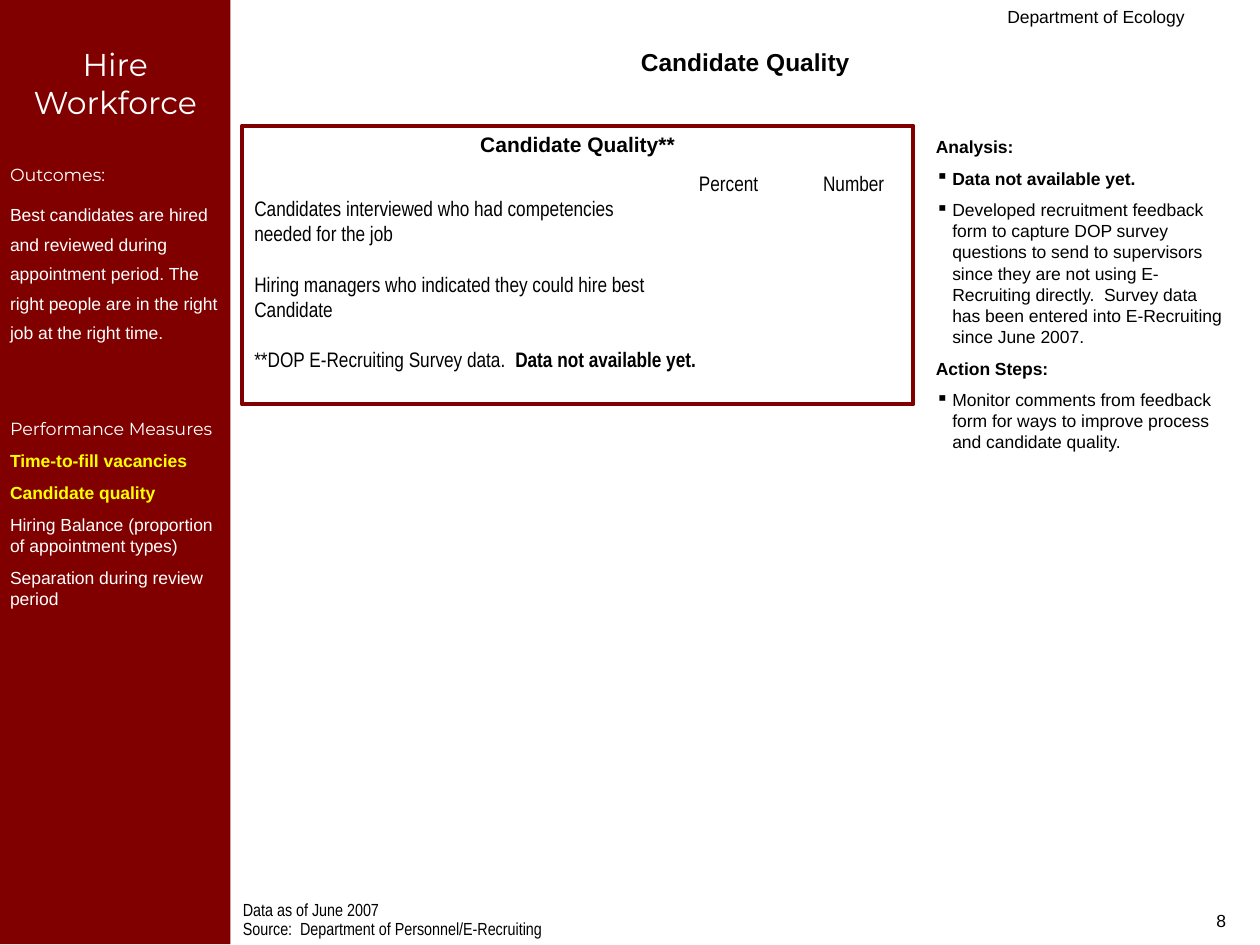
from lxml.etree import SubElement
from pptx import Presentation
from pptx.dml.color import RGBColor
from pptx.enum.shapes import MSO_SHAPE
from pptx.enum.text import MSO_ANCHOR, MSO_AUTO_SIZE, PP_ALIGN
from pptx.oxml.ns import qn
from pptx.util import Emu, Inches, Pt

WIDTH, HEIGHT = Inches(10), Inches(7.5)
MAROON, WHITE, BLACK, YELLOW = "800000", "FFFFFF", "000000", "FFFF00"
SANS, NARROW, DISPLAY = "Arial", "Arial Narrow", "Montserrat"


def rgb(value):
    return RGBColor.from_string(value)


def box(left, top, width, height):
    return (Emu(int(WIDTH * left)), Emu(int(HEIGHT * top)),
            Emu(int(WIDTH * width)), Emu(int(HEIGHT * height)))


def set_frame(sp, side=0.1, top=0.05):
    tf = sp.text_frame
    tf.word_wrap = True
    tf.auto_size = MSO_AUTO_SIZE.NONE
    tf.vertical_anchor = MSO_ANCHOR.TOP
    tf.margin_left = tf.margin_right = Inches(side)
    tf.margin_top, tf.margin_bottom = Inches(top), Inches(0.05)
    return tf


def add_text_box(slide, area):
    return set_frame(slide.shapes.add_textbox(*area))


def add_rect(slide, area):
    sp = slide.shapes.add_shape(MSO_SHAPE.RECTANGLE, *area)
    sp.shadow.inherit = False
    return sp


def add_paragraph(tf, before=0, align=PP_ALIGN.LEFT, spacing=None):
    first = tf.paragraphs[0]
    p = tf.add_paragraph() if first.runs else first
    p.alignment = align
    p.space_before = Pt(before if p is not first and first.runs else 0)
    if spacing:
        p.line_spacing = spacing
    return p


def add_run(p, text, size=10, font=SANS, color=BLACK, bold=False):
    r = p.add_run()
    r.text = text
    r.font.size = Pt(size)
    r.font.name = font
    r.font.bold = bold
    r.font.color.rgb = rgb(color)


def add_bullet(p, indent=0.13):
    pPr = p._p.get_or_add_pPr()
    pPr.set("marL", str(Inches(indent)))
    pPr.set("indent", str(-Inches(indent)))
    SubElement(pPr, qn("a:buChar"), char="▪")


def add_right_tabs(p, *stops):
    tabs = SubElement(p._p.get_or_add_pPr(), qn("a:tabLst"))
    for stop in stops:
        SubElement(tabs, qn("a:tab"), pos=str(Inches(stop)), algn="r")


def add_title(slide, area):
    sp = slide.shapes.title
    sp.left, sp.top, sp.width, sp.height = area
    p = add_paragraph(set_frame(sp), align=PP_ALIGN.CENTER)
    add_run(p, "Candidate Quality", 14, bold=True)


def add_label(slide, area, text):
    p = add_paragraph(add_text_box(slide, area), align=PP_ALIGN.RIGHT)
    add_run(p, text)


def add_sidebar(slide, area):
    sp = add_rect(slide, area)
    sp.fill.solid()
    sp.fill.fore_color.rgb = rgb(MAROON)
    sp.line.fill.background()
    tf = set_frame(sp, side=0.08, top=0.36)
    add_run(add_paragraph(tf, align=PP_ALIGN.CENTER),
            "Hire Workforce", 18, DISPLAY, WHITE)
    add_run(add_paragraph(tf, 24.6), "Outcomes:", font=DISPLAY, color=WHITE)
    add_run(add_paragraph(tf, 6.2, spacing=1.4),
            "Best candidates are hired and reviewed during appointment period. "
            "The right people are in the right job at the right time.",
            color=WHITE)
    add_run(add_paragraph(tf, 43), "Performance Measures",
            font=DISPLAY, color=WHITE)
    measures = [("Time-to-fill vacancies", True),
                ("Candidate quality", True),
                ("Hiring Balance (proportion of appointment types)", False),
                ("Separation during review period", False)]
    for text, current in measures:
        add_run(add_paragraph(tf, 6.2), text,
                color=YELLOW if current else WHITE, bold=current)


def add_quality_panel(slide, area):
    sp = add_rect(slide, area)
    sp.fill.background()
    sp.line.color.rgb = rgb(MAROON)
    sp.line.width = Pt(2.25)
    tf = set_frame(sp)
    add_run(add_paragraph(tf, align=PP_ALIGN.CENTER),
            "Candidate Quality**", 12, bold=True)
    p = add_paragraph(tf, 7.5)
    add_right_tabs(p, 4, 5)
    add_run(p, "\tPercent\t Number", 12, NARROW)
    questions = [("Candidates interviewed who had competencies", 0),
                 ("needed for the job", 0),
                 ("Hiring managers who indicated they could hire best", 14.5),
                 ("Candidate", 0)]
    for text, before in questions:
        add_run(add_paragraph(tf, before), text, 12, NARROW)
    p = add_paragraph(tf, 14.5)
    add_run(p, "**DOP E-Recruiting Survey data.  ", 12, NARROW)
    add_run(p, "Data not available yet.", 12, NARROW, bold=True)


def add_analysis(slide, area):
    tf = add_text_box(slide, area)
    items = [("Analysis:", False, True),
             ("Data not available yet.", True, True),
             ("Developed recruitment feedback form to capture DOP survey "
              "questions to send to supervisors since they are not using "
              "E-Recruiting directly.  Survey data has been entered into "
              "E-Recruiting since June 2007.", True, False),
             ("Action Steps:", False, True),
             ("Monitor comments from feedback form for ways to improve "
              "process and candidate quality.", True, False)]
    for text, bulleted, bold in items:
        p = add_paragraph(tf, 6.2)
        if bulleted:
            add_bullet(p)
        add_run(p, text, bold=bold)


def add_source_note(slide, area):
    tf = add_text_box(slide, area)
    for text in ("Data as of June 2007",
                 "Source:  Department of Personnel/E-Recruiting"):
        add_run(add_paragraph(tf, 2.5, spacing=0.7), text, font=NARROW)


def main():
    prs = Presentation()
    prs.slide_width, prs.slide_height = WIDTH, HEIGHT
    slide = prs.slides.add_slide(prs.slide_layouts[5])
    side = 0.183
    add_label(slide, box(0.45, 0, 0.5, 0.033), "Department of Ecology")
    add_label(slide, box(0.75, 0.956, 0.233, 0.044), "8")
    add_sidebar(slide, box(0, 0, side, 0.999))
    add_analysis(slide, box(0.733, 0.137, 0.25, 0.484))
    add_source_note(slide, box(side, 0.951, 0.483, 0.049))
    add_title(slide, box(side, 0.043, 1 - side, 0.045))
    add_quality_panel(slide, box(0.192, 0.133, 0.533, 0.295))
    prs.save("out.pptx")


if __name__ == "__main__":
    main()
